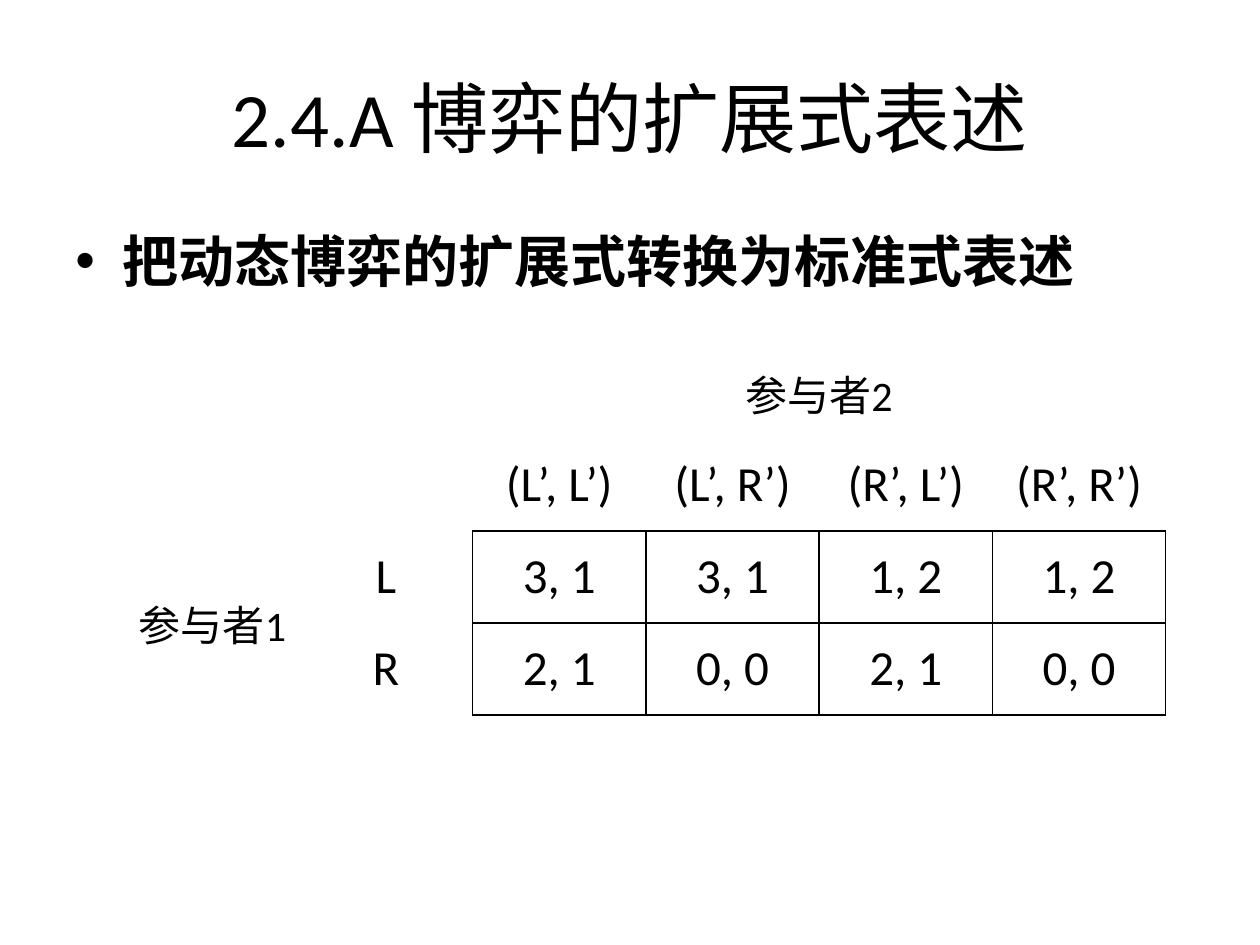
from lxml import etree
from pptx import Presentation
from pptx import util as u
from pptx.dml.color import RGBColor
from pptx.enum import text
from pptx.oxml import ns

BLACK = RGBColor(0, 0, 0)
MID = text.MSO_ANCHOR.MIDDLE
GAME = [
    ["", "", "参与者2", "", "", ""],
    ["", "", "(L’, L’)", "(L’, R’)", "(R’, L’)", "(R’, R’)"],
    ["参与者1", "L", "3, 1", "3, 1", "1, 2", "1, 2"],
    ["", "R", "2, 1", "0, 0", "2, 1", "0, 0"],
]


def style(para, size, align, bold=False):
    para.alignment = align
    form = {"name": "Calibri", "size": u.Pt(size), "bold": bold}
    for key, val in form.items():
        setattr(para.font, key, val)
    para.font.color.rgb = BLACK


def add_text(slide, box, words, size, anchor, align, bold=False, bullet=False):
    frame = slide.shapes.add_textbox(*map(u.Cm, box)).text_frame
    frame.word_wrap = True
    frame.vertical_anchor = anchor
    para = frame.paragraphs[0]
    para.text = words
    if bullet:
        props = para._p.get_or_add_pPr()
        hang = u.Cm(0.95)
        props.set("marL", str(hang))
        props.set("indent", str(-hang))
        etree.SubElement(props, ns.qn("a:buFont")).set("typeface", "Arial")
        etree.SubElement(props, ns.qn("a:buChar")).set("char", "•")
    style(para, size, align, bold)


def set_edges(cell, sides):
    props = cell._tc.get_or_add_tcPr()
    for spot, side in enumerate("LRTB"):
        line = etree.Element(ns.qn("a:ln" + side), w=str(u.Pt(1)))
        if side in sides:
            fill = etree.SubElement(line, ns.qn("a:solidFill"))
            etree.SubElement(fill, ns.qn("a:srgbClr")).set("val", str(BLACK))
        else:
            etree.SubElement(line, ns.qn("a:noFill"))
        props.insert(spot, line)


def edges(row, col):
    if row > 1 and col > 1:
        return "LRTB"
    if row == 1 and col > 1:
        return "B"
    if row > 1 and col == 1:
        return "R"
    return ""


def add_game(slide):
    rows, cols = len(GAME), len(GAME[0])
    box = map(u.Cm, (2.54, 6.99, 20.96, 7.42))
    frame = slide.shapes.add_table(rows, cols, *box)
    table = frame.table
    table.first_row = table.horz_banding = False
    for row, line in enumerate(GAME):
        for col, words in enumerate(line):
            cell = table.cell(row, col)
            cell.fill.background()
            set_edges(cell, edges(row, col))
            cell.vertical_anchor = MID
            if words:
                cell.text = words
                size = 24 if words.startswith("参") else 28
                style(cell.text_frame.paragraphs[0], size, text.PP_ALIGN.CENTER)
    table.cell(0, 2).merge(table.cell(0, cols - 1))
    table.cell(2, 0).merge(table.cell(rows - 1, 0))


def main():
    deck = Presentation()
    deck.slide_width, deck.slide_height = u.Cm(25.4), u.Cm(19.05)
    slide = deck.slides.add_slide(deck.slide_layouts[6])
    add_text(slide, (1.27, 0.76, 22.86, 3.18), "2.4.A 博弈的扩展式表述",
             44, MID, text.PP_ALIGN.CENTER)
    add_text(slide, (1.27, 4.45, 22.86, 13.54), "把动态博弈的扩展式转换为标准式表述",
             32, text.MSO_ANCHOR.TOP, text.PP_ALIGN.LEFT, bold=True, bullet=True)
    add_game(slide)
    deck.save("out.pptx")


if __name__ == "__main__":
    main()
